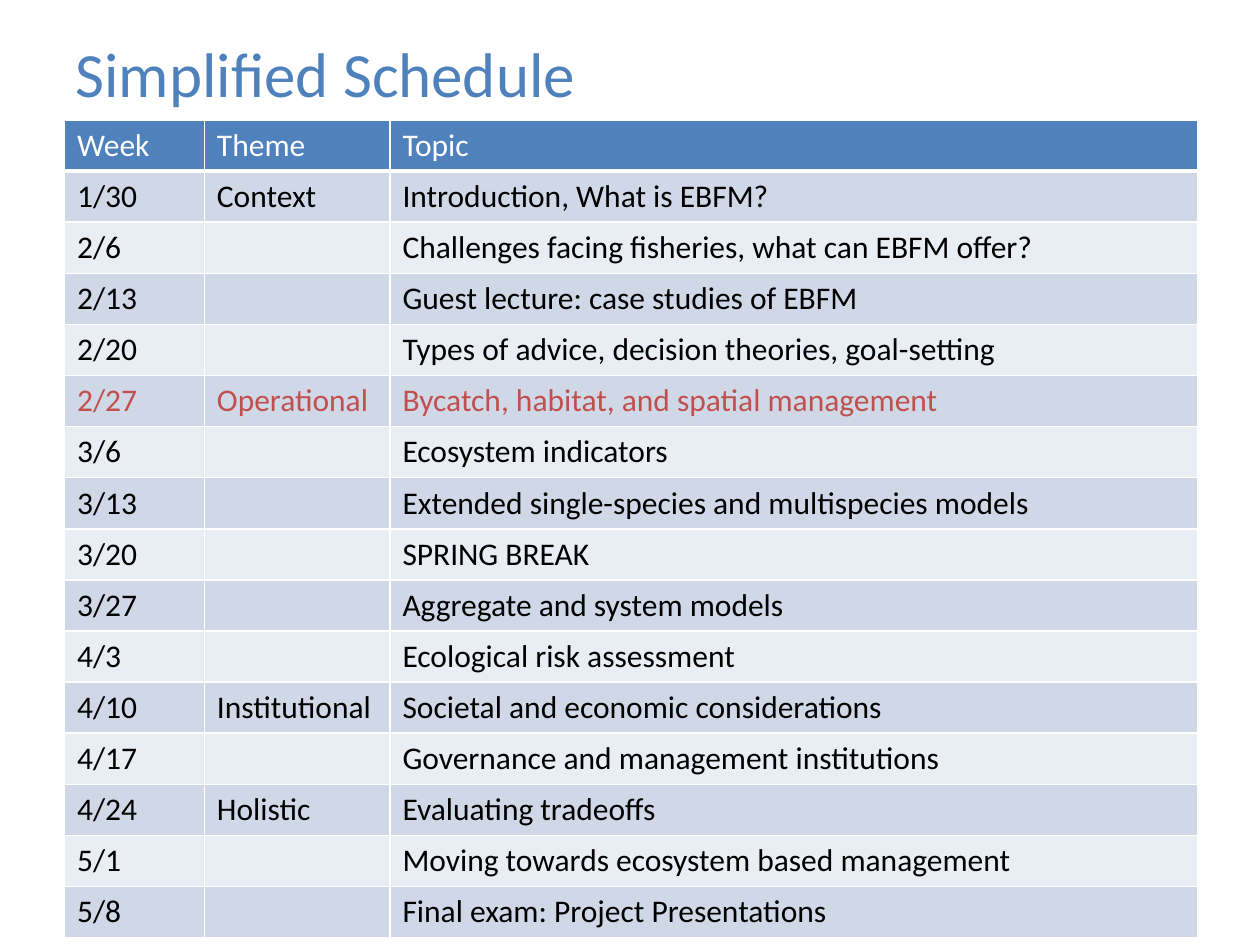
import pptx
import pptx.dml.color
import pptx.enum.text
import pptx.oxml
import pptx.oxml.ns
import pptx.util
from pptx.util import Cm

COLORS = {
    "accent": "4F81BD",
    "white": "FFFFFF",
    "text": "000000",
    "highlight": "C0504D",
    "band_dark": "D0D8E8",
    "band_light": "E9EDF4",
}
FONT = "Calibri"
HEADER = ("Week", "Theme", "Topic")
SCHEDULE = [
    ("1/30", "Context", "Introduction, What is EBFM?"),
    ("2/6", "", "Challenges facing fisheries, what can EBFM offer?"),
    ("2/13", "", "Guest lecture: case studies of EBFM"),
    ("2/20", "", "Types of advice, decision theories, goal-setting"),
    ("2/27", "Operational", "Bycatch, habitat, and spatial management"),
    ("3/6", "", "Ecosystem indicators"),
    ("3/13", "", "Extended single-species and multispecies models"),
    ("3/20", "", "SPRING BREAK"),
    ("3/27", "", "Aggregate and system models"),
    ("4/3", "", "Ecological risk assessment"),
    ("4/10", "Institutional", "Societal and economic considerations"),
    ("4/17", "", "Governance and management institutions"),
    ("4/24", "Holistic", "Evaluating tradeoffs"),
    ("5/1", "", "Moving towards ecosystem based management"),
    ("5/8", "", "Final exam: Project Presentations"),
]
HIGHLIGHT_WEEK = "2/27"
COLUMN_WIDTHS = (2.82, 3.74, 16.28)
ROW_HEIGHT = 1.03


def rgb(name):
    return pptx.dml.color.RGBColor.from_string(COLORS[name])


def set_font(p, size, color):
    p.font.name = FONT
    p.font.size = pptx.util.Pt(size)
    p.font.bold = False
    p.font.color.rgb = rgb(color)


def add_title(s, text):
    sp = s.shapes.title
    sp.left, sp.top, sp.width, sp.height = Cm(1.27), Cm(0.51), Cm(22.86), Cm(1.9)
    tf = sp.text_frame
    tf.text = text
    tf.vertical_anchor = pptx.enum.text.MSO_ANCHOR.MIDDLE
    p = tf.paragraphs[0]
    p.alignment = pptx.enum.text.PP_ALIGN.LEFT
    set_font(p, 36, "accent")


def set_borders(cell, bottom):
    tc_pr = cell._tc.get_or_add_tcPr()
    for side, width in (("L", 1), ("R", 1), ("T", 1), ("B", bottom)):
        tc_pr.append(pptx.oxml.parse_xml(
            f'<a:ln{side} {pptx.oxml.ns.nsdecls("a")} w="{pptx.util.Pt(width)}">'
            f'<a:solidFill><a:srgbClr val="{COLORS["white"]}"/></a:solidFill>'
            f'</a:ln{side}>'))


def fill_row(table, row, values, fill, color, bottom=1):
    for col, value in enumerate(values):
        cell = table.cell(row, col)
        cell.text = value
        set_borders(cell, bottom)
        cell.fill.solid()
        cell.fill.fore_color.rgb = rgb(fill)
        set_font(cell.text_frame.paragraphs[0], 18, color)


def add_schedule(s):
    rows = len(SCHEDULE) + 1
    table = s.shapes.add_table(
        rows, len(HEADER), Cm(1.3), Cm(2.42),
        Cm(sum(COLUMN_WIDTHS)), Cm(rows * ROW_HEIGHT)).table
    for column, width in zip(table.columns, COLUMN_WIDTHS):
        column.width = Cm(width)
    for row in table.rows:
        row.height = Cm(ROW_HEIGHT)
    fill_row(table, 0, HEADER, "accent", "white", bottom=3)
    for i, values in enumerate(SCHEDULE, 1):
        band = "band_dark" if i % 2 else "band_light"
        color = "highlight" if values[0] == HIGHLIGHT_WEEK else "text"
        fill_row(table, i, values, band, color)


def main():
    prs = pptx.Presentation()
    prs.slide_width, prs.slide_height = Cm(25.4), Cm(19.05)
    s = prs.slides.add_slide(prs.slide_layouts[5])
    add_title(s, "Simplified Schedule")
    add_schedule(s)
    prs.save("out.pptx")


if __name__ == "__main__":
    main()
